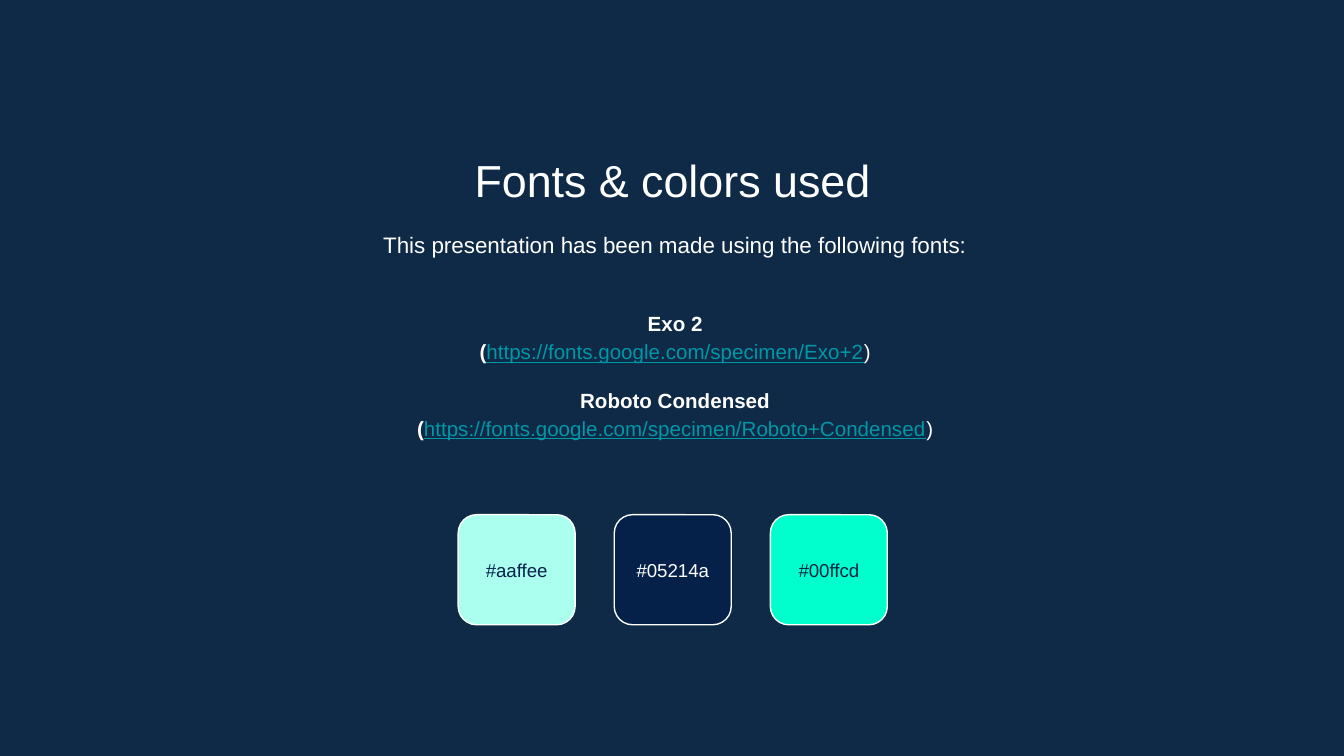
from dataclasses import dataclass

import pptx
import pptx.dml.color
import pptx.enum.shapes
import pptx.enum.text
import pptx.util

Cm = pptx.util.Cm
Pt = pptx.util.Pt
Anchor = pptx.enum.text.MSO_ANCHOR


@dataclass(frozen=True)
class Theme:
    font: str = "Arial"
    background: str = "0E2A47"
    light: str = "FFFFFF"
    dark: str = "05214A"
    link: str = "0097A7"
    title_size: float = 24
    intro_size: float = 12
    body_size: float = 11
    label_size: float = 10
    line_spacing: float = 1.15


@dataclass(frozen=True)
class Area:
    left: float
    top: float
    width: float
    height: float

    def lengths(self) -> tuple:
        return Cm(self.left), Cm(self.top), Cm(self.width), Cm(self.height)


@dataclass(frozen=True)
class FontSource:
    name: str
    address: str


@dataclass(frozen=True)
class Swatch:
    label: str
    text_color: str


THEME = Theme()
TITLE_AREA = Area(2.92, 2.64, 19.58, 1.35)
INTRO_AREA = Area(2.97, 4.04, 19.58, 1.22)
FONTS_AREA = Area(2.97, 5.33, 19.58, 3.48)
FIRST_SWATCH = Area(8.66, 9.73, 2.21, 2.08)
SWATCH_PITCH = 2.95
FONT_GAP = 10.6

FONT_SOURCES = [
    FontSource("Exo 2", "https://fonts.google.com/specimen/Exo+2"),
    FontSource("Roboto Condensed", "https://fonts.google.com/specimen/Roboto+Condensed"),
]
SWATCHES = [
    Swatch("#aaffee", THEME.dark),
    Swatch("#05214a", THEME.light),
    Swatch("#00ffcd", THEME.dark),
]


def rgb(value: str) -> pptx.dml.color.RGBColor:
    return pptx.dml.color.RGBColor.from_string(value.upper())


def style_paragraph(para, size: float, color: str = THEME.light) -> None:
    para.alignment = pptx.enum.text.PP_ALIGN.CENTER
    para.font.name = THEME.font
    para.font.size = Pt(size)
    para.font.color.rgb = rgb(color)


def add_text_frame(page, area: Area, anchor=Anchor.TOP):
    frame = page.shapes.add_textbox(*area.lengths()).text_frame
    frame.word_wrap = True
    frame.vertical_anchor = anchor
    frame.margin_left = frame.margin_right = Cm(0.25)
    frame.margin_top = frame.margin_bottom = Cm(0.25)
    return frame


def add_line(page, area: Area, text: str, size: float, spacing: float = 1.0) -> None:
    para = add_text_frame(page, area).paragraphs[0]
    para.text = text
    para.line_spacing = spacing
    style_paragraph(para, size)


def add_font_list(page, sources: list[FontSource]) -> None:
    frame = add_text_frame(page, FONTS_AREA, Anchor.MIDDLE)
    for index, source in enumerate(sources):
        # Font name
        name = frame.add_paragraph() if index else frame.paragraphs[0]
        name.text = source.name
        name.line_spacing = THEME.line_spacing
        if index:
            name.space_before = Pt(FONT_GAP)
        style_paragraph(name, THEME.body_size)
        name.font.bold = True

        # Address in brackets, the opening one bold
        address = frame.add_paragraph()
        address.line_spacing = THEME.line_spacing
        style_paragraph(address, THEME.body_size)
        opening, link, closing = (address.add_run() for _ in range(3))
        opening.text, link.text, closing.text = "(", source.address, ")"
        opening.font.bold = True
        link.font.underline = True
        link.font.color.rgb = rgb(THEME.link)


def add_swatch(page, swatch: Swatch, area: Area) -> None:
    box = page.shapes.add_shape(
        pptx.enum.shapes.MSO_SHAPE.ROUNDED_RECTANGLE, *area.lengths()
    )
    box.shadow.inherit = False
    box.fill.solid()
    box.fill.fore_color.rgb = rgb(swatch.label.lstrip("#"))
    box.line.color.rgb = rgb(THEME.light)
    box.line.width = Pt(0.75)
    frame = box.text_frame
    frame.margin_left = frame.margin_right = 0
    frame.vertical_anchor = Anchor.MIDDLE
    para = frame.paragraphs[0]
    para.text = swatch.label
    style_paragraph(para, THEME.label_size, swatch.text_color)


def main() -> None:
    deck = pptx.Presentation()
    deck.slide_width, deck.slide_height = Cm(25.4), Cm(14.29)
    page = deck.slides.add_slide(deck.slide_layouts[6])
    page.background.fill.solid()
    page.background.fill.fore_color.rgb = rgb(THEME.background)

    # Heading and introduction
    add_line(page, TITLE_AREA, "Fonts & colors used", THEME.title_size)
    add_line(
        page,
        INTRO_AREA,
        "This presentation has been made using the following fonts:",
        THEME.intro_size,
        THEME.line_spacing,
    )

    # Fonts
    add_font_list(page, FONT_SOURCES)

    # Colours
    for index, swatch in enumerate(SWATCHES):
        left = FIRST_SWATCH.left + index * SWATCH_PITCH
        area = Area(left, FIRST_SWATCH.top, FIRST_SWATCH.width, FIRST_SWATCH.height)
        add_swatch(page, swatch, area)

    deck.save("out.pptx")


if __name__ == "__main__":
    main()
